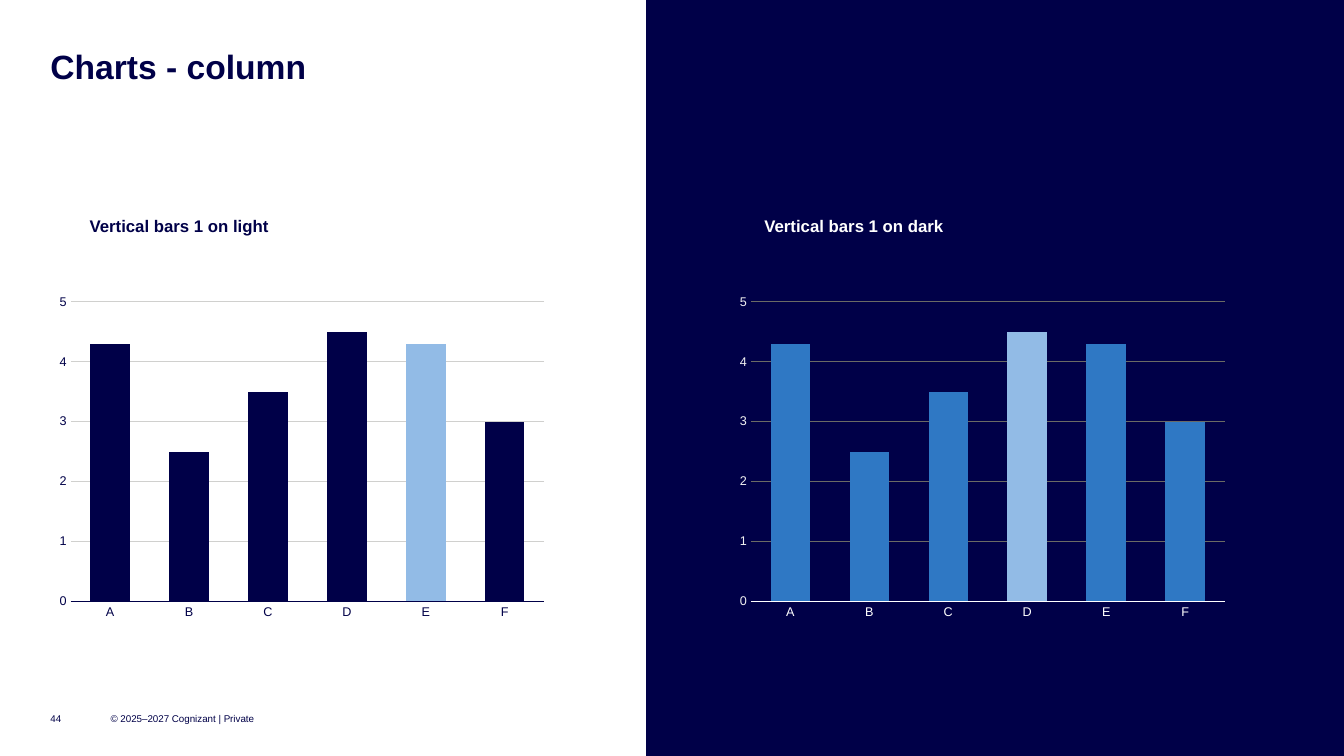
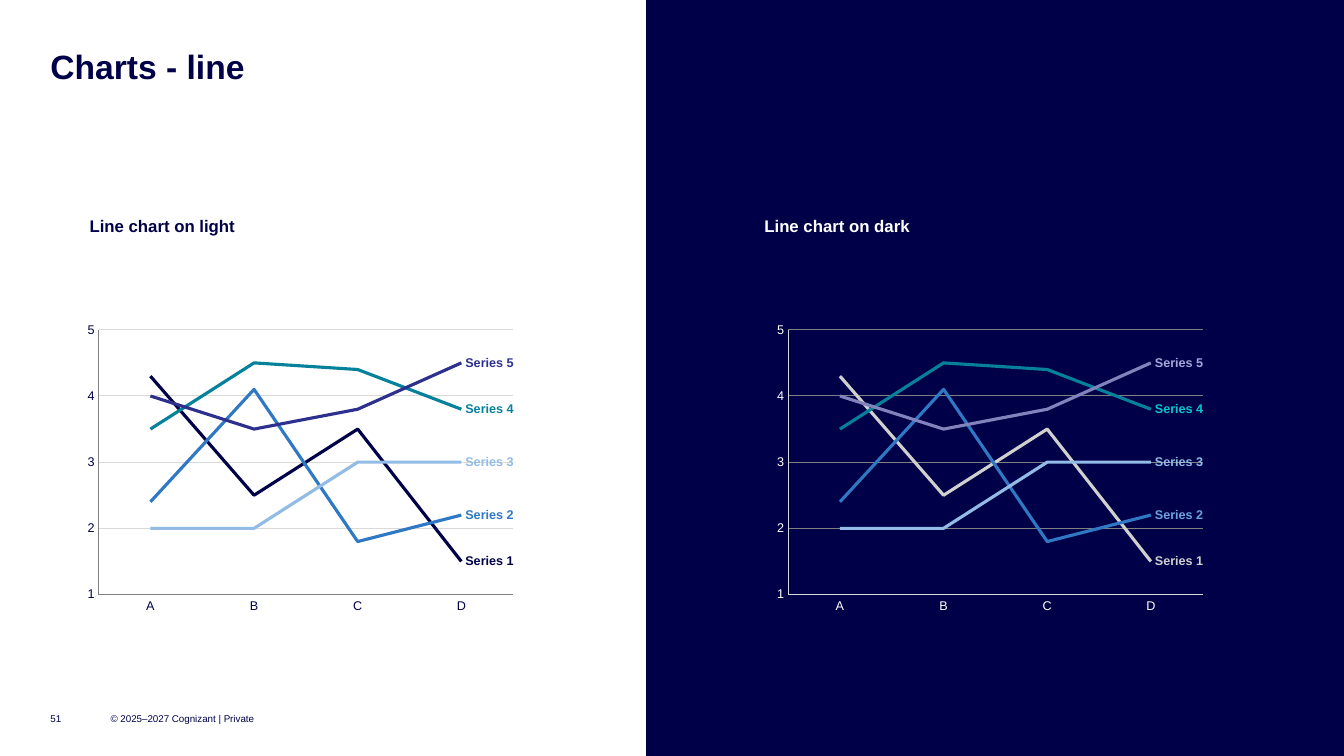
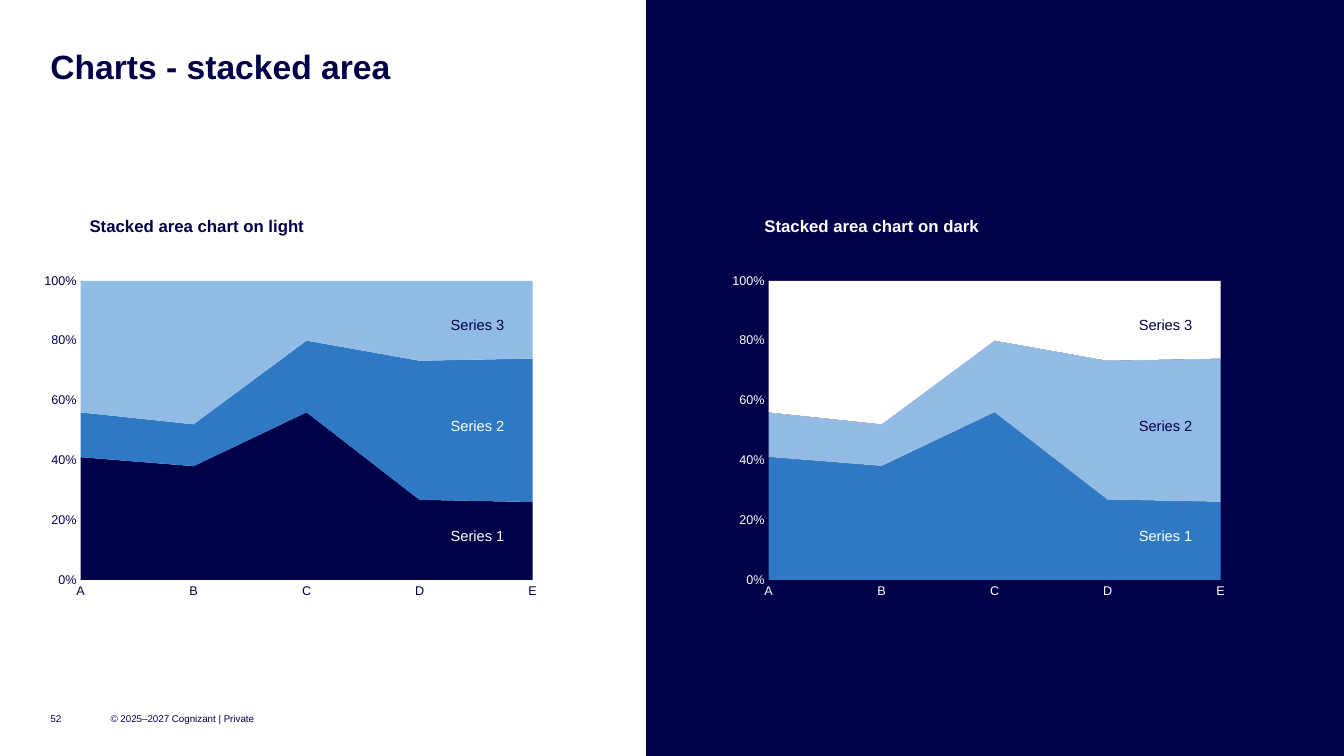
from lxml.etree import SubElement
from pptx import Presentation
from pptx.chart.data import CategoryChartData
from pptx.dml.color import RGBColor
from pptx.enum.chart import XL_CHART_TYPE as ChartType, XL_LABEL_POSITION as LabelPosition
from pptx.enum.chart import XL_TICK_MARK as TickMark
from pptx.enum.shapes import MSO_SHAPE as Shape
from pptx.enum.text import MSO_ANCHOR as Anchor, MSO_AUTO_SIZE as AutoSize, PP_ALIGN as Align
from pptx.oxml.ns import qn
from pptx.util import Pt

FONT = "Arial"
COLOURS = {
    "navy": "000048", "white": "FFFFFF", "blue": "2F78C4", "sky": "92BBE6",
    "teal": "05819B", "indigo": "2E308E", "lilac": "8283BC", "silver": "D0D0CE",
    "pale": "D9D9D9", "grey": "808080", "olive": "6A6A65", "off_white": "F2F2F2",
    "azure": "6BA3E0", "aqua": "06C7CC", "lavender": "A5A6DB",
}
COPYRIGHT = "© 2025–2027 Cognizant | Private"
COLUMN_VALUES = [4.3, 2.5, 3.5, 4.5, 4.3, 3]
LINE_VALUES = [[4.3, 2.5, 3.5, 1.5], [2.4, 4.1, 1.8, 2.2], [2, 2, 3, 3],
               [3.5, 4.5, 4.4, 3.8], [4, 3.5, 3.8, 4.5]]
AREA_VALUES = [[41, 38, 56, 27, 26], [15, 14, 24, 47, 48], [44, 48, 20, 27, 26]]
AREA_LABEL_TOPS = [376, 298, 225.5]
HEADING_LEFTS = {"light": 64, "dark": 546}
INK = {"light": "navy", "dark": "white"}


def colour(name):
    """Return the named colour."""
    return RGBColor.from_string(COLOURS[name])


def style_font(font, size, ink, bold=False):
    """Apply the deck's typeface with a size and colour."""
    font.name, font.size, font.bold = FONT, Pt(size), bold
    font.color.rgb = colour(ink)


def write(shape, text, size=12, ink="navy", bold=False, anchor=Anchor.TOP,
          spacing=None, grow=True):
    """Fill a shape with one formatted paragraph."""
    frame = shape.text_frame
    frame.margin_left = frame.margin_top = frame.margin_right = frame.margin_bottom = 0
    frame.word_wrap = True
    frame.vertical_anchor = anchor
    frame.auto_size = AutoSize.SHAPE_TO_FIT_TEXT if grow else AutoSize.NONE
    paragraph = frame.paragraphs[0]
    paragraph.alignment = Align.LEFT
    paragraph.line_spacing = spacing
    run = paragraph.add_run()
    run.text = text
    style_font(run.font, size, ink, bold)


def add_text(slide, box, text, **format):
    """Add a text box at left, top, width, height."""
    write(slide.shapes.add_textbox(*map(Pt, box)), text, **format)


def add_page(deck, title, subject, number):
    """Add a slide with its title, dark half, headings and footer."""
    slide = deck.slides.add_slide(deck.slide_layouts[5])
    heading = slide.shapes.title
    heading.left, heading.top, heading.width, heading.height = map(Pt, (36, 36, 888, 26))
    write(heading, title, size=24, bold=True, spacing=0.9)
    dark_half = slide.shapes.add_shape(Shape.RECTANGLE, Pt(461.5), 0, Pt(498.5), Pt(540))
    dark_half.shadow.inherit = False
    dark_half.fill.solid()
    dark_half.fill.fore_color.rgb = colour("navy")
    dark_half.line.fill.background()
    for tone, left in HEADING_LEFTS.items():
        add_text(slide, (left, 154, 186, 14.5), f"{subject} on {tone}", ink=INK[tone], bold=True)
    for left, width, text in ((36, 29, str(number)), (79, 108, COPYRIGHT)):
        add_text(slide, (left, 504, width, 18), text, size=7, anchor=Anchor.MIDDLE, grow=False)
    return slide


def style_line(line, ink, width=0.75):
    """Colour a line, or hide it when no colour is given."""
    if ink:
        line.color.rgb = colour(ink)
        line.width = Pt(width)
    else:
        line.fill.background()


def style_axis(axis, ink, line):
    """Set an axis' labels and line without tick marks."""
    axis.major_tick_mark = axis.minor_tick_mark = TickMark.NONE
    style_font(axis.tick_labels.font, 9, ink)
    style_line(axis.format.line, line)


def place_plot(chart, fractions):
    """Fix the inner plot area as fractions of the chart."""
    plot_area = chart._chartSpace.find(".//" + qn("c:plotArea"))
    for old in plot_area.findall(qn("c:layout")):
        plot_area.remove(old)
    layout = SubElement(plot_area, qn("c:layout"))
    plot_area.insert(0, layout)
    manual = SubElement(layout, qn("c:manualLayout"))
    settings = [("layoutTarget", "inner"), ("xMode", "edge"), ("yMode", "edge")]
    for tag, value in settings + list(zip("xywh", fractions)):
        SubElement(manual, qn(f"c:{tag}")).set("val", str(value))


def add_chart(slide, kind, box, categories, rows, plot_box, scale, ink,
              value_ink=None, category_line=None, value_line=None, grid=None):
    """Add a chart with styled axes and return it."""
    data = CategoryChartData()
    data.categories = categories
    for number, values in enumerate(rows, 1):
        data.add_series(f"Series {number}", values)
    chart = slide.shapes.add_chart(kind, *map(Pt, box), data).chart
    chart.has_legend = chart.has_title = False
    style_font(chart.font, 10, "navy")
    chart.plots[0].vary_by_categories = False
    place_plot(chart, plot_box)
    style_axis(chart.category_axis, ink, category_line)
    axis = chart.value_axis
    style_axis(axis, value_ink or ink, value_line)
    axis.minimum_scale, axis.maximum_scale, axis.major_unit = scale
    axis.has_major_gridlines = bool(grid)
    if grid:
        style_line(axis.major_gridlines.format.line, grid)
    return chart


def fill(part, name):
    """Give a series or point a solid fill."""
    part.format.fill.solid()
    part.format.fill.fore_color.rgb = colour(name)


def add_columns(slide, left, bar, highlight, **axes):
    """Add a column chart with one highlighted bar."""
    chart = add_chart(slide, ChartType.COLUMN_CLUSTERED, (left, 206, 360, 243), "ABCDEF",
                      [COLUMN_VALUES], (0.04, 0.04, 0.94, 0.88), (0, 5, 1), **axes)
    chart.plots[0].gap_width = 100
    bars = chart.plots[0].series[0]
    fill(bars, bar)
    fill(bars.points["ABCDEF".index(highlight)], "sky")


def label_line_end(series, ink):
    """Show the series name to the right of the last point."""
    series.data_labels.show_value = False
    label = series.points[len(series.values) - 1].data_label
    style_font(label.font, 9, ink, bold=True)
    label.position = LabelPosition.RIGHT
    element = series._element.find(".//" + qn("c:dLbl"))
    for tag, value in (("c:showVal", "0"), ("c:showSerName", "1")):
        element.find(qn(tag)).set("val", value)


def add_lines(slide, left, inks, label_inks, **axes):
    """Add a line chart with named line ends."""
    chart = add_chart(slide, ChartType.LINE, (left, 224.5, 348.5, 222.5), "ABCD",
                      LINE_VALUES, (0.06, 0.05, 0.85, 0.85), (1, 5, 1), **axes)
    for series, ink, label_ink in zip(chart.plots[0].series, inks, label_inks):
        series.smooth = False
        style_line(series.format.line, ink, 2.25)
        label_line_end(series, label_ink)


def add_areas(slide, left, inks, label_inks, ink):
    """Add a stacked area chart with a label on each band."""
    chart = add_chart(slide, ChartType.AREA_STACKED_100, (left, 191, 367, 240), "ABCDE",
                      AREA_VALUES, (0.09, 0.04, 0.88, 0.89), (0, 1, 0.2), ink)
    labels = chart.value_axis.tick_labels
    labels.number_format, labels.number_format_is_linked = "0%", False
    chart._chartSpace.find(".//" + qn("c:crossBetween")).set("val", "midCat")
    bands = zip(chart.plots[0].series, inks, label_inks, AREA_LABEL_TOPS)
    for series, band_ink, label_ink, top in bands:
        fill(series, band_ink)
        add_text(slide, (left + 297.5, top, 50, 13), series.name, size=10.5, ink=label_ink)


def main():
    """Build and save the three chart slides."""
    deck = Presentation()
    deck.slide_width, deck.slide_height = Pt(960), Pt(540)

    columns = add_page(deck, "Charts - column", "Vertical bars 1", 44)
    add_columns(columns, 36, "navy", "E", ink="navy", category_line="navy", grid="silver")
    add_columns(columns, 522, "blue", "D", ink="white", value_ink="off_white",
                category_line="white", grid="olive")

    lines = add_page(deck, "Charts - line", "Line chart", 51)
    light_inks = ["navy", "blue", "sky", "teal", "indigo"]
    add_lines(lines, 49.5, light_inks, light_inks, ink="navy",
              category_line="grey", value_line="grey", grid="pale")
    add_lines(lines, 542, ["silver", "blue", "sky", "teal", "lilac"],
              ["silver", "azure", "sky", "aqua", "lavender"], ink="white",
              category_line="pale", value_line="pale", grid="grey")

    areas = add_page(deck, "Charts - stacked area", "Stacked area chart", 52)
    add_areas(areas, 24.5, ["navy", "blue", "sky"], ["white", "white", "navy"], "navy")
    add_areas(areas, 516, ["blue", "sky", "white"], ["white", "navy", "navy"], "white")

    deck.save("out.pptx")


if __name__ == "__main__":
    main()
